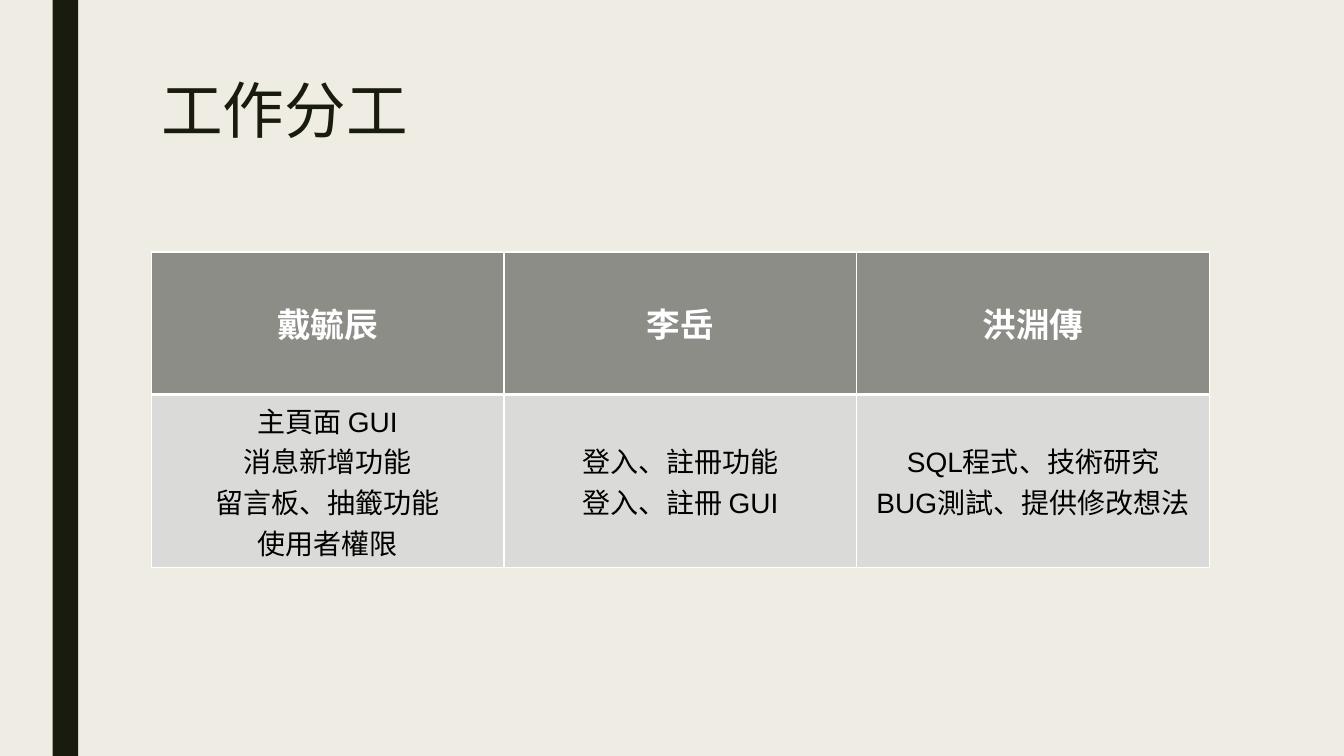
from lxml import etree
from pptx import Presentation
from pptx.dml.color import RGBColor
from pptx.enum.shapes import MSO_SHAPE
from pptx.enum.text import MSO_ANCHOR, MSO_AUTO_SIZE, PP_ALIGN
from pptx.oxml.ns import qn
from pptx.util import Cm, Pt

RECTANGLE = MSO_SHAPE.RECTANGLE
TOP, MIDDLE = MSO_ANCHOR.TOP, MSO_ANCHOR.MIDDLE
LEFT, CENTER = PP_ALIGN.LEFT, PP_ALIGN.CENTER
NO_AUTOFIT = MSO_AUTO_SIZE.NONE
TITLE_ONLY = 5

COLORS = {
    "background": "EFEDE3",
    "dark": "191B0E",
    "header": "8C8D86",
    "body": "DADBD9",
    "border": "FFFFFF",
    "header_text": "FFFFFF",
    "body_text": "000000",
}
HEADING_FONT, BODY_FONT = "Open Sans", "Arial"


class SlideBuilder:
    """Holds the style and the current slide."""

    def __init__(self, slide):
        self.slide = slide

    def color(self, name):
        return RGBColor.from_string(COLORS[name])

    def fill(self, target, name):
        target.fill.solid()
        target.fill.fore_color.rgb = self.color(name)

    def format_text(self, frame, font, size, color, align, bold=False, spacing=None):
        for paragraph in frame.paragraphs:
            paragraph.alignment = align
            paragraph.line_spacing = spacing
            for run in paragraph.runs:
                run.font.name = font
                run.font.size = Pt(size)
                run.font.bold = bold
                run.font.color.rgb = self.color(color)

    def background(self, name):
        self.fill(self.slide.background, name)

    def bar(self, left, top, width, height, name):
        bar = self.slide.shapes.add_shape(RECTANGLE, left, top, width, height)
        bar.shadow.inherit = False
        self.fill(bar, name)
        bar.line.fill.background()

    def title(self, text, left, top, width, height):
        title = self.slide.shapes.title
        title.left, title.top, title.width, title.height = left, top, width, height
        frame = title.text_frame
        frame.text = text
        frame.auto_size = NO_AUTOFIT
        frame.vertical_anchor = TOP
        self.format_text(frame, HEADING_FONT, 44, "dark", LEFT, spacing=0.89)

    def border(self, cell, widths):
        """Draws the cell edges; widths maps L, R, T, B to points."""
        properties = cell._tc.get_or_add_tcPr()
        for position, side in enumerate("LRTB"):
            line = etree.Element(qn(f"a:ln{side}"), w=str(Pt(widths[side])))
            solid = etree.SubElement(line, qn("a:solidFill"))
            etree.SubElement(solid, qn("a:srgbClr"), val=COLORS["border"])
            properties.insert(position, line)

    def cell(self, cell, text, is_header):
        cell.text_frame.text = text
        cell.vertical_anchor = MIDDLE
        edges = dict.fromkeys("LRTB", 1)
        if is_header:
            self.fill(cell, "header")
            self.format_text(cell.text_frame, HEADING_FONT, 24, "header_text", CENTER, bold=True)
            edges["B"] = 3
        else:
            self.fill(cell, "body")
            self.format_text(cell.text_frame, BODY_FONT, 20, "body_text", CENTER)
            edges["T"] = 3
        self.border(cell, edges)

    def table(self, columns, left, top, column_width, row_heights):
        """Takes one (header, lines) pair per column."""
        table = self.slide.shapes.add_table(
            len(row_heights), len(columns), left, top,
            column_width * len(columns), sum(row_heights)).table
        for row, height in zip(table.rows, row_heights):
            row.height = height
        for index, (header, lines) in enumerate(columns):
            table.columns[index].width = column_width
            self.cell(table.cell(0, index), header, True)
            self.cell(table.cell(1, index), "\n".join(lines), False)


presentation = Presentation()
presentation.slide_width, presentation.slide_height = Cm(33.87), Cm(19.05)
layout = presentation.slide_layouts[TITLE_ONLY]
builder = SlideBuilder(presentation.slides.add_slide(layout))

# Background and side bar
builder.background("background")
builder.bar(Cm(1.33), Cm(0), Cm(0.64), presentation.slide_height, "dark")

# Title
content_left = Cm(3.81)
builder.title("工作分工", content_left, Cm(1.9), Cm(26.67), Cm(4.12))

# Tasks of each member
member_tasks = [
    ("戴毓辰", ["主頁面 GUI", "消息新增功能", "留言板、抽籤功能", "使用者權限"]),
    ("李岳", ["登入、註冊功能", "登入、註冊 GUI"]),
    ("洪淵傳", ["SQL程式、技術研究", "BUG測試、提供修改想法"]),
]
builder.table(member_tasks, content_left, Cm(6.35), Cm(8.89), [Cm(3.59), Cm(3.92)])

presentation.save("out.pptx")
